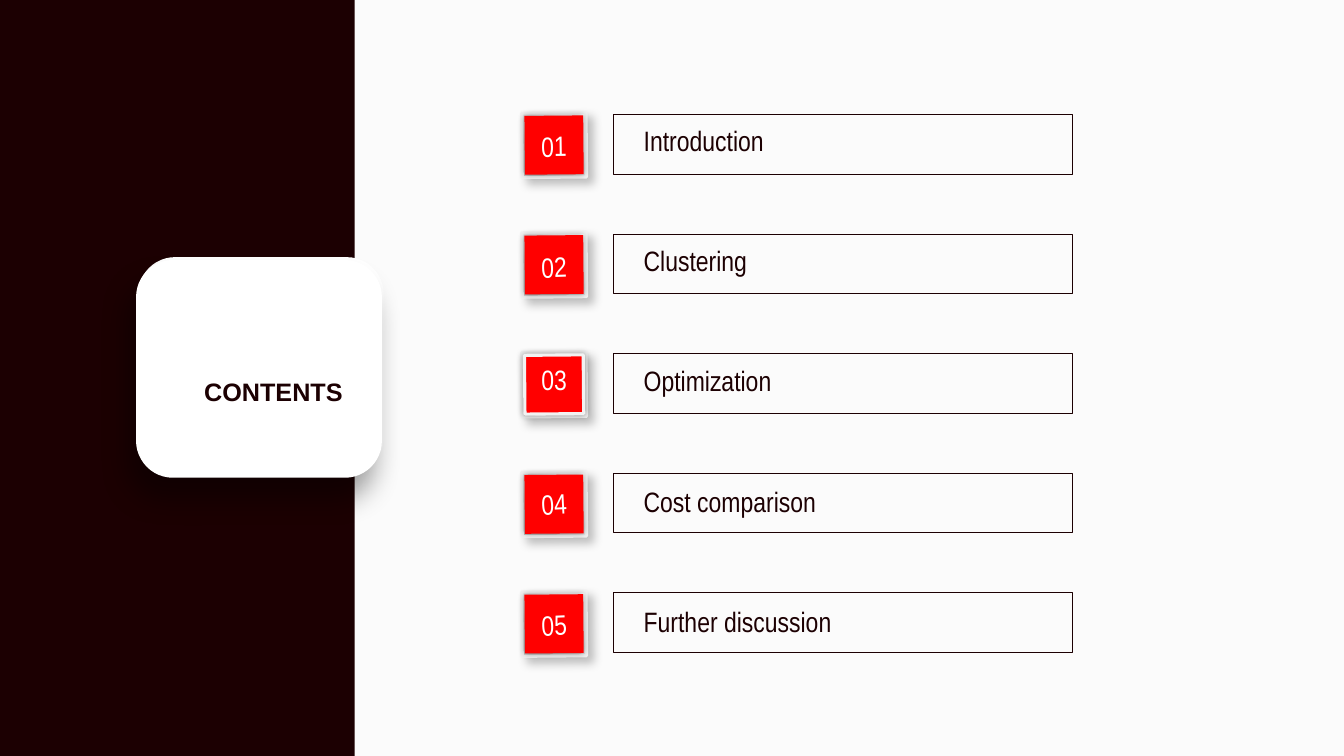
from lxml.etree import SubElement
from pptx import Presentation
from pptx.dml.color import RGBColor
from pptx.enum.shapes import MSO_SHAPE
from pptx.enum.text import MSO_ANCHOR, MSO_AUTO_SIZE, PP_ALIGN
from pptx.oxml.ns import qn
from pptx.util import Pt

DARK = RGBColor(0x1C, 0x00, 0x02)
RED = RGBColor(0xFF, 0x00, 0x00)
WHITE = RGBColor(0xFF, 0xFF, 0xFF)
PAPER = RGBColor(0xFB, 0xFB, 0xFB)
EDGE = RGBColor(0xF2, 0xF2, 0xF2)
SILVER = RGBColor(0xBF, 0xBF, 0xBF)


def add_box(shapes, kind, x, y, w, h, fill=None, line=None, weight=0.75, shadow=None):
    sp = shapes.add_shape(kind, Pt(x), Pt(y), Pt(w), Pt(h))
    sp.shadow.inherit = False
    if fill is None:
        sp.fill.background()
    else:
        sp.fill.solid()
        sp.fill.fore_color.rgb = fill
    if line is None:
        sp.line.fill.background()
    else:
        sp.line.color.rgb = line
        sp.line.width = Pt(weight)
    if shadow:
        alpha, blur, dist, angle = shadow
        effects = sp._element.spPr.find(qn("a:effectLst"))
        outer = SubElement(effects, qn("a:outerShdw"), blurRad=str(Pt(blur)),
                           dist=str(Pt(dist)), dir=str(angle * 60000), rotWithShape="0")
        color = SubElement(outer, qn("a:srgbClr"), val="000000")
        SubElement(color, qn("a:alpha"), val=str(alpha * 1000))
    return sp


def add_label(shapes, text, x, y, w, h, size, font, color, align=PP_ALIGN.LEFT):
    sp = shapes.add_textbox(Pt(x), Pt(y), Pt(w), Pt(h))
    tf = sp.text_frame
    tf.word_wrap = True
    p = tf.paragraphs[0]
    p.alignment = align
    r = p.add_run()
    r.text = text
    r.font.size = Pt(size)
    r.font.name = font
    r.font.color.rgb = color
    return sp


prs = Presentation()
prs.slide_width = Pt(960.5)
prs.slide_height = Pt(540)
s = prs.slides.add_slide(prs.slide_layouts[6])
s.background.fill.solid()
s.background.fill.fore_color.rgb = PAPER

add_box(s.shapes, MSO_SHAPE.RECTANGLE, 0, 0, 253.5, 540, DARK)
add_box(s.shapes, MSO_SHAPE.ROUNDED_RECTANGLE, 99.4, 184.3, 174.2, 154, WHITE, WHITE, 1.25)
add_box(s.shapes, MSO_SHAPE.ROUNDED_RECTANGLE, 98, 186.5, 174.2, 154, WHITE, WHITE, 1.5,
        (40, 21, 16, 113))
heading = add_label(s.shapes, "CONTENTS", 126.7, 237, 137.5, 85, 18, "Arial", DARK,
                    PP_ALIGN.CENTER)
tf = heading.text_frame
tf.vertical_anchor = MSO_ANCHOR.MIDDLE
tf.margin_left = tf.margin_right = Pt(5)
tf.margin_top = tf.margin_bottom = Pt(3)
tf.paragraphs[0].runs[0].font.bold = True

topics = [
    ("Introduction", 88.6, 359.2),
    ("Clustering", 175, 358),
    ("Optimization", 255.6, 0),
    ("Cost comparison", 344.2, 357.1),
    ("Further discussion", 430.6, 357.5),
]
for i, (topic, number_top, tilt) in enumerate(topics):
    add_box(s.shapes, MSO_SHAPE.RECTANGLE, 438.5, 82.1 + 85.3 * i, 328.3, 42.5, line=DARK)
    title = add_label(s.shapes, topic, 452.9, 84.3 + 86 * i, 346.3, 32, 20, "Arial Narrow", DARK)
    title.text_frame.auto_size = MSO_AUTO_SIZE.SHAPE_TO_FIT_TEXT

    badge = s.shapes.add_group_shape().shapes
    top = 80.6 + 85.5 * i
    plate = add_box(badge, MSO_SHAPE.RECTANGLE, 373, top, 46, 46, WHITE, EDGE, 2.25,
                    (23, 7, 5.9, 45))
    plate.fill.gradient()
    plate.fill.gradient_angle = 315
    stops = plate.fill.gradient_stops
    for stop, position, color in zip(stops, (0.2, 0.8), (SILVER, WHITE)):
        stop.position = position
        stop.color.rgb = color
    tile = add_box(badge, MSO_SHAPE.RECTANGLE, 375, top + 2, 42, 42, RED,
                   EDGE if topic == "Optimization" else None, 2.25, (40, 5, 0, 0))
    plate.rotation = tile.rotation = 269.5
    number = add_label(badge, f"{i + 1:02d}", 375, number_top, 42, 32, 20, "Arial Narrow", WHITE,
                       PP_ALIGN.CENTER)
    number.rotation = tilt
    number.text_frame.auto_size = MSO_AUTO_SIZE.SHAPE_TO_FIT_TEXT

prs.save("out.pptx")
